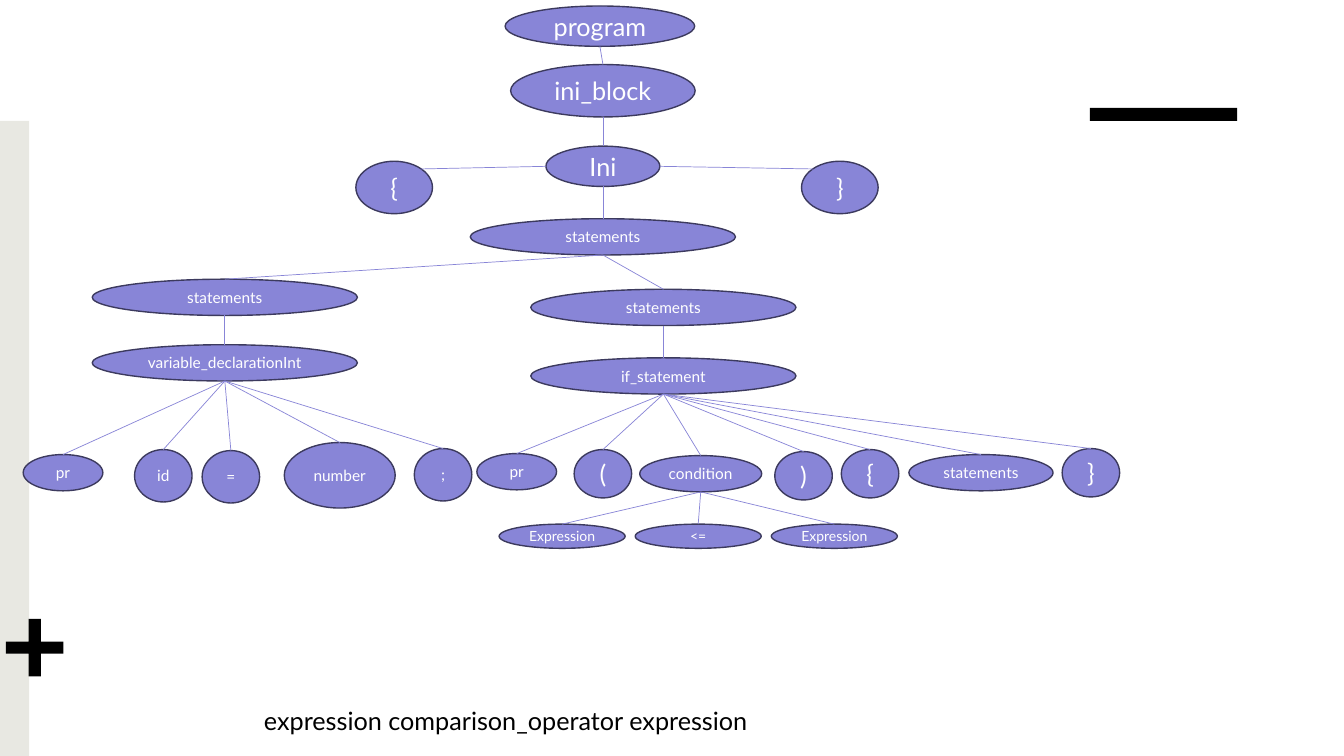
from lxml import etree
from pptx import Presentation
from pptx.dml.color import RGBColor
from pptx.enum.shapes import MSO_CONNECTOR, MSO_SHAPE
from pptx.enum.text import MSO_ANCHOR, MSO_AUTO_SIZE, PP_ALIGN
from pptx.oxml.ns import qn
from pptx.util import Inches, Pt

STRAIGHT = MSO_CONNECTOR.STRAIGHT
OVAL, RECT, CROSS = MSO_SHAPE.OVAL, MSO_SHAPE.RECTANGLE, MSO_SHAPE.CROSS
CENTER, MIDDLE = PP_ALIGN.CENTER, MSO_ANCHOR.MIDDLE
FIT_SHAPE = MSO_AUTO_SIZE.SHAPE_TO_FIT_TEXT

VIOLET = RGBColor(0x88, 0x85, 0xD7)
INDIGO = RGBColor(0x3C, 0x3A, 0x5E)
STONE = RGBColor(0xE8, 0xE8, 0xE2)
BLACK = RGBColor(0, 0, 0)
WHITE = RGBColor(0xFF, 0xFF, 0xFF)

CELL = Inches(0.1)  # side of one grid column or row
DIAGONAL = 0.5 ** 0.5
NO_INSETS = dict.fromkeys(
    ("margin_left", "margin_right", "margin_top", "margin_bottom"), 0)

# node kind: columns wide, rows high, text size
KINDS = {
    "root": (18.8, 4, 18),
    "block": (18.3, 5.2, 18),
    "ini": (11.3, 4, 18),
    "brace": (7.6, 5.2, 18),
    "rule": (26.3, 3.6, 11),
    "keyword": (7.9, 3.6, 11),
    "token": (5.7, 5.2, 11),
    "number": (11, 6.5, 11),
    "bracket": (5.7, 4.8, 18),
    "condition": (12.1, 3.6, 11),
    "body": (14.3, 3.6, 11),
    "operand": (12.5, 2.4, 10),
}

# leaves: text, kind, centre column, top row
DECLARATION_LEAVES = [
    ("pr", "keyword", 6.25, 45.1),
    ("id", "token", 16.2, 44.6),
    ("=", "token", 22.9, 44.7),
    ("number", "number", 33.7, 43.9),
    (";", "token", 43.95, 44.5),
]
IF_LEAVES = [
    ("pr", "keyword", 51.25, 45),
    ("(", "bracket", 59.8, 44.6),
    ("condition", "condition", 69.5, 45.2),
    (")", "bracket", 79.7, 44.8),
    ("{", "bracket", 86.3, 44.6),
    ("statements", "body", 97.3, 45.1),
    ("}", "bracket", 108.2, 44.5),
]
OPERANDS = ["Expression", "<=", "Expression"]


def cells(*counts):
    return [round(n * CELL) for n in counts]


def set_all(target, formats):
    for name, value in formats.items():
        setattr(target, name, value)


class TreeSlide:
    """Draws the parse tree on one slide; lengths are grid columns and rows."""

    def __init__(self, prs, font="Lato"):
        self.shapes = prs.slides.add_slide(prs.slide_layouts[6]).shapes
        self.font = font

    def label(self, tf, text, size, color):
        p = tf.paragraphs[0]
        r = p.add_run()
        r.text = text
        set_all(r.font, {"name": self.font, "size": Pt(size)})
        r.font.color.rgb = color
        return p

    def block(self, preset, left, top, width, height, fill):
        sp = self.shapes.add_shape(preset, *cells(left, top, width, height))
        sp.shadow.inherit = False
        sp.fill.solid()
        sp.fill.fore_color.rgb = fill
        sp.line.fill.background()
        return sp

    def node(self, text, kind, center, top):
        width, height, size = KINDS[kind]
        sp = self.block(OVAL, center - width / 2, top, width, height, VIOLET)
        sp.line.color.rgb = INDIGO
        sp.line.width = Pt(1)
        tf = sp.text_frame
        set_all(tf, {"word_wrap": True, "vertical_anchor": MIDDLE, **NO_INSETS})
        self.label(tf, text, size, WHITE).alignment = CENTER
        return sp

    def line(self, x1, y1, x2, y2):
        cxn = self.shapes.add_connector(STRAIGHT, x1, y1, x2, y2)
        cxn.line.color.rgb = VIOLET
        cxn.line.width = Pt(0.5)
        etree.SubElement(cxn._element.spPr, qn("a:effectLst"))
        return cxn

    def descend(self, parent, *children):
        """Join the bottom of the parent to the top of each child."""
        x, y = parent.left + parent.width // 2, parent.top + parent.height
        for child in children:
            cxn = self.line(x, y, child.left + child.width // 2, child.top)
            cxn.end_connect(child, 0)

    def flank(self, middle, side_node, side):
        """Join a side (-1 left, 1 right) to the neighbour's near shoulder."""
        x1 = middle.left + (1 + side) * middle.width // 2
        y1 = middle.top + middle.height // 2
        x2 = side_node.left + side_node.width * (1 - side * DIAGONAL) / 2
        y2 = side_node.top + side_node.height * (1 - DIAGONAL) / 2
        self.line(x1, y1, round(x2), round(y2))

    def caption(self, text, left, top, width, height):
        tf = self.shapes.add_textbox(*cells(left, top, width, height)).text_frame
        set_all(tf, {"word_wrap": True, "auto_size": FIT_SHAPE})
        self.label(tf, text, 18, BLACK)


def main():
    prs = Presentation()
    set_all(prs, {"slide_width": Inches(13.33), "slide_height": Inches(7.5)})
    s = TreeSlide(prs)

    s.block(RECT, 0, 12, 2.9, 63, STONE)
    s.block(CROSS, 0.6, 61.4, 5.7, 5.7, BLACK).adjustments[0] = 0.395
    s.block(RECT, 108.1, 10.7, 14.6, 1.3, BLACK)

    trunk = [
        s.node("program", "root", 59.5, 0.6),
        s.node("ini_block", "block", 59.8, 6.4),
        s.node("Ini", "ini", 59.8, 14.5),
        s.node("statements", "rule", 59.8, 21.7),
    ]
    for parent, child in zip(trunk, trunk[1:]):
        s.descend(parent, child)
    ini, statements = trunk[2:]
    for text, center, side in (("{", 39.1, -1), ("}", 83.3, 1)):
        s.flank(ini, s.node(text, "brace", center, 16), side)

    declarations = s.node("statements", "rule", 22.3, 27.7)
    declaration = s.node("variable_declarationInt", "rule", 22.3, 34.2)
    conditionals = s.node("statements", "rule", 65.8, 28.7)
    if_statement = s.node("if_statement", "rule", 65.8, 35.5)
    s.descend(statements, declarations, conditionals)
    s.descend(declarations, declaration)
    s.descend(conditionals, if_statement)

    s.descend(declaration, *[s.node(*leaf) for leaf in DECLARATION_LEAVES])
    if_parts = [s.node(*leaf) for leaf in IF_LEAVES]
    s.descend(if_statement, *if_parts)
    condition = if_parts[2]
    s.descend(condition, *[s.node(text, "operand", 55.75 + 13.5 * i, 52)
                           for i, text in enumerate(OPERANDS)])

    s.caption("expression comparison_operator expression", 25.2, 69.5, 66.7, 4)
    prs.save("out.pptx")


if __name__ == "__main__":
    main()
